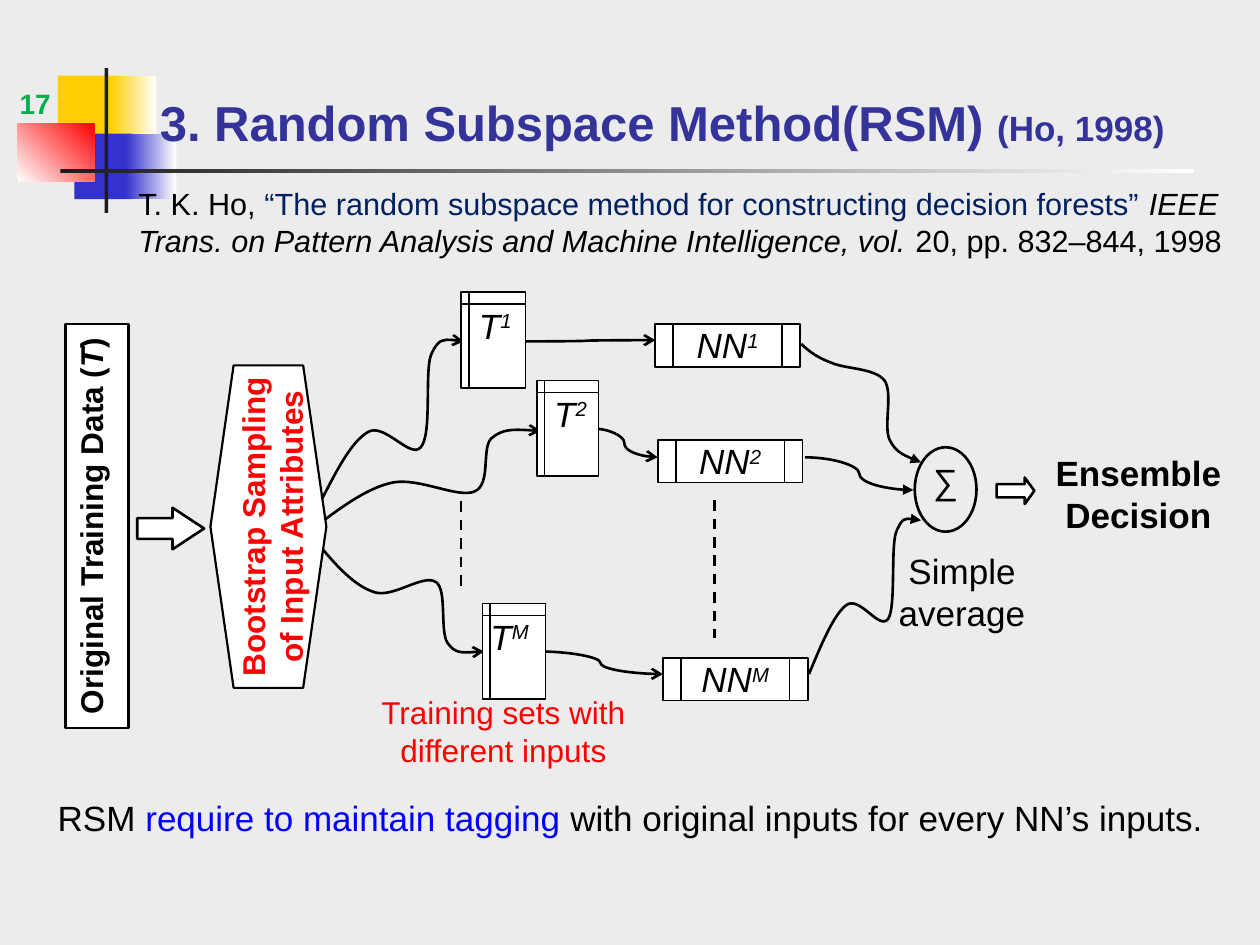
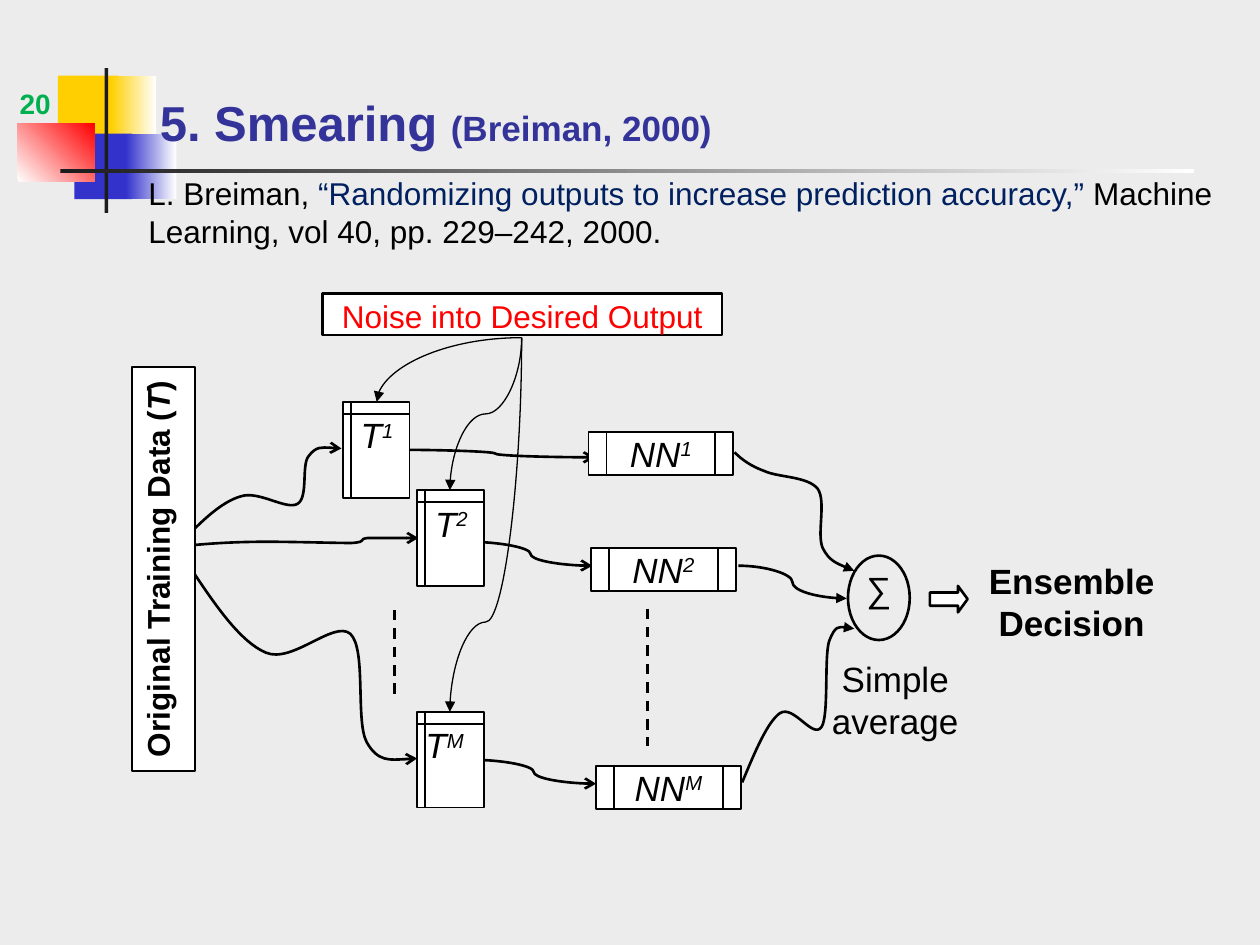
import dataclasses

import lxml.etree
import pptx
import pptx.dml.color
import pptx.enum.dml
import pptx.enum.shapes
import pptx.enum.text
import pptx.oxml.ns
import pptx.util

Inches = pptx.util.Inches
Pt = pptx.util.Pt
RGB = pptx.dml.color.RGBColor.from_string
qn = pptx.oxml.ns.qn
SHAPE = pptx.enum.shapes.MSO_SHAPE
CURVE = pptx.enum.shapes.MSO_CONNECTOR.CURVE
STRAIGHT = pptx.enum.shapes.MSO_CONNECTOR.STRAIGHT
ALIGN = pptx.enum.text.PP_ALIGN
ANCHOR = pptx.enum.text.MSO_ANCHOR


@dataclasses.dataclass(frozen=True)
class Theme:
    font: str = "Arial"
    background: str = "ECECEC"
    white: str = "FFFFFF"
    black: str = "000000"
    bar: str = "1C1C1C"
    yellow: str = "FFCF01"
    blue: str = "3333CC"
    red: str = "FF0000"
    title: str = "333399"
    number: str = "00B050"
    quote: str = "002060"
    emphasis: str = "0000FF"
    title_size: float = 28
    large: float = 20
    medium: float = 18
    citation: float = 17.5
    number_size: float = 16


class Deck:
    def __init__(self, theme):
        self.theme = theme
        self.prs = pptx.Presentation()
        self.prs.slide_width, self.prs.slide_height = Inches(10), Inches(7.5)
        fill = self.prs.slide_master.background.fill
        fill.solid()
        fill.fore_color.rgb = RGB(theme.background)
        self.s = None

    def new_slide(self, number, title, citation):
        t = self.theme
        self.s = self.prs.slides.add_slide(self.prs.slide_layouts[6])
        for at, colors, angle in (
            ((0.46, 0.6, 0.48, 0.52), [t.yellow], 0),
            ((0.88, 0.6, 0.36, 0.52), [t.yellow, t.white], 0),
            ((0.59, 1.06, 0.46, 0.52), [t.blue], 0),
            ((1, 1.06, 0.4, 0.52), [t.blue, t.white], 0),
            ((0.14, 0.98, 0.61, 0.46), [t.white, t.red], 45),
            ((0.83, 0.54, 0.03, 1.15), [t.bar], 0),
            ((0.48, 1.34, 9, 0.03), [t.bar, t.white], 0),
        ):
            self.shape(SHAPE.RECTANGLE, at, colors, angle=angle)
        name, source = title
        self.text((1.17, 0.58, 8.52, 0.67), [(name, {}), (source, {"size": t.large})],
                  t.title_size, t.title, bold=True, align=ALIGN.LEFT, anchor=ANCHOR.BOTTOM, inset=None)
        self.text((0, 0.67, 0.5, 0.33), number, t.number_size, t.number, bold=True,
                  align=ALIGN.RIGHT, anchor=ANCHOR.BOTTOM, inset=None)
        at, size, runs = citation
        self.text(at, runs, size, align=ALIGN.LEFT, inset=None)

    def shape(self, kind, at, colors=(), angle=0, line=None, adjust=()):
        sp = self.s.shapes.add_shape(kind, *map(Inches, at))
        sp.shadow.inherit = False
        if len(colors) == 2:
            sp.fill.gradient()
            sp.fill.gradient_angle = angle
            for stop, color in zip(sp.fill.gradient_stops, colors):
                stop.color.rgb = RGB(color)
        elif colors:
            sp.fill.solid()
            sp.fill.fore_color.rgb = RGB(colors[0])
        else:
            sp.fill.background()
        if line:
            self.stroke(sp, line)
        else:
            sp.line.fill.background()
        for i, value in enumerate(adjust):
            sp.adjustments[i] = value
        return sp

    def label(self, sp, runs, size, color=None, bold=False, italic=False, align=ALIGN.CENTER,
              anchor=ANCHOR.TOP, inset=0, vertical=False, wrap=True):
        tf = sp.text_frame
        tf.word_wrap = wrap
        tf.vertical_anchor = anchor
        if inset is not None:
            tf.margin_left = tf.margin_top = tf.margin_right = tf.margin_bottom = Inches(inset)
        if vertical:
            tf._txBody.bodyPr.set("vert", "vert270")
        p = tf.paragraphs[0]
        p.alignment = align
        p.font.name, p.font.size = self.theme.font, Pt(size)
        p.font.bold, p.font.italic = bold, italic
        p.font.color.rgb = RGB(color or self.theme.black)
        for text, style in [(runs, {})] if isinstance(runs, str) else runs:
            r = p.add_run()
            r.text = text
            if "size" in style:
                r.font.size = Pt(style["size"])
            if "color" in style:
                r.font.color.rgb = RGB(style["color"])
            if "italic" in style:
                r.font.italic = style["italic"]
            if "baseline" in style:
                r._r.get_or_add_rPr().set("baseline", str(style["baseline"] * 1000))
        return p

    def text(self, at, runs, size, color=None, **options):
        return self.label(self.s.shapes.add_textbox(*map(Inches, at)), runs, size, color, **options)

    def stroke(self, sp, width, head=None, dashed=False):
        sp.line.width = Pt(width)
        sp.line.color.rgb = RGB(self.theme.black)
        if dashed:
            sp.line.dash_style = pptx.enum.dml.MSO_LINE.DASH
        if head:
            ln = sp._element.spPr.find(qn("a:ln"))
            lxml.etree.SubElement(ln, qn("a:tailEnd")).set("type", head)

    def connector(self, kind, ends, width=1.5, head=None, dashed=False, prst=None):
        cx = self.s.shapes.add_connector(kind, *map(Inches, ends))
        self.stroke(cx, width, head, dashed)
        spPr = cx._element.spPr
        lxml.etree.SubElement(spPr, qn("a:effectLst"))
        if prst:
            spPr.find(qn("a:prstGeom")).set("prst", prst)
        return cx

    def drop(self, ends, bend):
        x1, y1, x2, y2 = ends
        mid_x, mid_y = (x1 + x2) / 2, (y1 + y2) / 2
        half_w, half_h = (y2 - y1) / 2, (x1 - x2) / 2
        box = (mid_x - half_w, mid_y - half_h, mid_x + half_w, mid_y + half_h)
        spPr = self.connector(CURVE, box, 0.75, "triangle")._element.spPr
        spPr.find(qn("a:xfrm")).set("rot", str(90 * 60000))
        geom = spPr.find(qn("a:prstGeom"))
        guides = geom.find(qn("a:avLst"))
        if guides is None:
            guides = lxml.etree.SubElement(geom, qn("a:avLst"))
        gd = lxml.etree.SubElement(guides, qn("a:gd"))
        gd.set("name", "adj1")
        gd.set("fmla", f"val {round(bend * 100000)}")

    def curve(self, points, head="arrow"):
        start, *rest = [(Inches(x), Inches(y)) for x, y in points]
        builder = self.s.shapes.build_freeform(*start)
        builder.add_line_segments(rest, close=False)
        sp = builder.convert_to_shape()
        sp.shadow.inherit = False
        sp.fill.background()
        self.stroke(sp, 1.5, head)
        outline = next(sp._element.iter(qn("a:path")))
        segments = outline.findall(qn("a:lnTo"))
        for i in range(0, len(segments), 3):
            bezier = lxml.etree.SubElement(outline, qn("a:cubicBezTo"))
            for segment in segments[i:i + 3]:
                bezier.append(segment[0])
                outline.remove(segment)

    def source_data(self, x, y):
        sp = self.shape(SHAPE.RECTANGLE, (x, y, 0.5, 3.21), [self.theme.white], line=1.25)
        runs = [("Original Training Data (", {}), ("T", {"italic": True}), (")", {})]
        self.label(sp, runs, self.theme.medium, bold=True, inset=None, vertical=True, wrap=False)

    def training_sets(self, places):
        for index, (x, y, w) in zip("12M", places):
            sp = self.shape(SHAPE.FLOWCHART_INTERNAL_STORAGE, (x, y, w, 0.76), [self.theme.white], line=1)
            name = "T" if index == "M" else " T"
            self.label(sp, [(name, {}), (index, {"baseline": 30})], self.theme.large,
                       italic=True, align=ALIGN.LEFT)

    def ensemble(self, dx=0, dy=0):
        t = self.theme

        def shift(points):
            return [(x + dx, y + dy) for x, y in points]

        def move(x, y, w, h):
            return x + dx, y + dy, w, h

        for x, top, bottom in ((3.66, 3.98, 4.65), (5.67, 3.97, 5.06)):
            self.connector(STRAIGHT, (x + dx, top + dy, x + dx, bottom + dy), dashed=True)
        for index, x, y in (("1", 5.2, 2.57), ("2", 5.22, 3.49), ("M", 5.26, 5.22)):
            sp = self.shape(SHAPE.FLOWCHART_PREDEFINED_PROCESS, move(x, y, 1.15, 0.34), [t.white], line=1)
            self.label(sp, [("NN", {}), (index, {"baseline": 30})], t.large, italic=True)
        sp = self.shape(SHAPE.OVAL, move(7.26, 3.55, 0.49, 0.67), line=1.5)
        self.label(sp, "∑", t.large)
        self.connector(CURVE, (6.39 + dx, 3.63 + dy, 7.25 + dx, 3.89 + dy), head="triangle")
        self.curve(shift(FIRST_VOTE), "triangle")
        self.curve(shift(LAST_VOTE), "triangle")
        self.shape(SHAPE.RIGHT_ARROW, move(7.91, 3.79, 0.3, 0.21), [t.white], line=1.5, adjust=(0.5, 0.365))
        self.text(move(8.32, 3.58, 1.43, 0.67), "Ensemble Decision", t.large, bold=True)
        self.text(move(7.06, 4.36, 1.15, 0.51), "Simple average", t.large)


FIRST_VOTE = [(6.36, 2.73), (6.42, 2.79), (6.49, 2.84), (6.6, 2.88), (6.71, 2.93), (6.94, 2.92),
              (7.02, 3.02), (7.09, 3.12), (7.01, 3.38), (7.06, 3.49), (7.11, 3.59), (7.21, 3.63), (7.31, 3.67)]
LAST_VOTE = [(6.42, 5.35), (6.52, 5.11), (6.62, 4.87), (6.72, 4.8), (6.83, 4.73), (6.98, 5.01),
             (7.05, 4.91), (7.11, 4.82), (7.07, 4.36), (7.11, 4.23), (7.16, 4.1), (7.23, 4.11), (7.31, 4.13)]
SUBSPACE_CURVES = [
    [(2.53, 4.01), (2.66, 3.76), (2.78, 3.51), (2.92, 3.43), (3.05, 3.35), (3.26, 3.65), (3.34, 3.55),
     (3.43, 3.45), (3.37, 2.96), (3.42, 2.82), (3.48, 2.68), (3.58, 2.69), (3.68, 2.71)],
    [(2.53, 4.16), (2.72, 4.02), (2.92, 3.87), (3.12, 3.83), (3.33, 3.79), (3.64, 3.96), (3.77, 3.9),
     (3.9, 3.84), (3.82, 3.56), (3.9, 3.48), (3.99, 3.4), (4.14, 3.41), (4.29, 3.42)],
    [(2.52, 4.31), (2.66, 4.48), (2.81, 4.65), (2.97, 4.7), (3.12, 4.75), (3.36, 4.55), (3.46, 4.62),
     (3.55, 4.68), (3.49, 5), (3.55, 5.1), (3.61, 5.19), (3.73, 5.18), (3.84, 5.17)],
]
SMEARING_CURVES = [
    [(1.5, 4.24), (1.63, 4.11), (1.77, 3.98), (1.91, 3.94), (2.05, 3.89), (2.27, 4.05), (2.36, 4),
     (2.45, 3.95), (2.39, 3.69), (2.45, 3.62), (2.51, 3.54), (2.61, 3.55), (2.71, 3.56)],
    [(1.5, 4.33), (1.7, 4.31), (1.9, 4.3), (2.12, 4.3), (2.33, 4.3), (2.66, 4.31), (2.79, 4.31),
     (2.93, 4.3), (2.83, 4.28), (2.92, 4.27), (3.01, 4.27), (3.17, 4.27), (3.32, 4.27)],
    [(1.5, 4.49), (1.7, 4.79), (1.9, 5.09), (2.11, 5.18), (2.32, 5.27), (2.65, 4.92), (2.78, 5.03),
     (2.91, 5.15), (2.82, 5.72), (2.91, 5.89), (3, 6.05), (3.15, 6.03), (3.31, 6.02)],
]


def random_subspace(deck):
    t = deck.theme
    deck.new_slide("17", ("3. Random Subspace Method(RSM) ", "(Ho, 1998)"), (
        (1, 1.42, 8.83, 0.69), t.citation,
        [("T. K. Ho, ", {}),
         ("“The random subspace method for constructing decision forests” ", {"color": t.quote}),
         ("IEEE Trans. on Pattern Analysis and Machine Intelligence, vol. ", {"italic": True}),
         ("20, pp. 832–844, 1998", {})]))
    for points in SUBSPACE_CURVES:
        deck.curve(points)
    for ends in ((4.09, 2.71, 5.2, 2.7), (4.69, 3.4, 5.22, 3.63), (4.27, 5.17, 5.26, 5.35)):
        deck.connector(CURVE, ends, head="arrow")
    deck.shape(SHAPE.RIGHT_ARROW, (1.09, 4.03, 0.53, 0.33), [t.white], line=1.5, adjust=(0.5, 0.758))
    sp = deck.shape(SHAPE.FLOWCHART_PREPARATION, (1.67, 2.9, 0.92, 2.56), [t.white], line=1.25)
    deck.label(sp, "Bootstrap Sampling of Input Attributes", t.medium, t.red, bold=True, vertical=True)
    deck.training_sets([(3.66, 2.32, 0.51), (4.26, 3.02, 0.49), (3.83, 4.79, 0.5)])
    deck.ensemble()
    deck.text((2.93, 5.5, 2.13, 0.44), "Training sets with different inputs", t.medium, t.red)
    deck.source_data(0.52, 2.57)
    p = deck.text((0.36, 6.27, 9.5, 0.5), [
        ("RSM ", {}), ("require to maintain tagging", {"color": t.emphasis}),
        (" with original inputs for every NN’s inputs.", {})], t.large, align=ALIGN.JUSTIFY, inset=None)
    pPr = p._p.get_or_add_pPr()
    pPr.set("marL", str(Inches(0.19)))
    pPr.set("indent", str(-Inches(0.19)))


def smearing(deck):
    t = deck.theme
    deck.new_slide("20", ("5. Smearing ", "(Breiman, 2000)"), (
        (1.08, 1.33, 8.83, 0.71), t.medium,
        [("L. Breiman, ", {}),
         ("“Randomizing outputs to increase prediction accuracy,”", {"color": t.quote}),
         (" Machine Learning, vol 40, pp. 229–242, 2000.", {})]))
    for points in SMEARING_CURVES:
        deck.curve(points)
    for ends in ((3.14, 3.57, 4.72, 3.63), (3.72, 4.3, 4.7, 4.49), (3.74, 6.03, 4.73, 6.22)):
        deck.connector(CURVE, ends, head="arrow")
    deck.training_sets([(2.72, 3.19, 0.53), (3.31, 3.89, 0.53), (3.31, 5.65, 0.53)])
    deck.ensemble(-0.53, 0.86)
    sp = deck.shape(SHAPE.RECTANGLE, (2.56, 2.33, 3.17, 0.33), [t.white], line=1.25)
    deck.label(sp, "Noise into Desired Output", t.medium, t.red)
    sp.text_frame.margin_top = Inches(0.03)
    deck.connector(CURVE, (4.14, 2.68, 2.99, 3.19), 0.75, "triangle", prst="curvedConnector2")
    deck.drop((4.14, 2.68, 3.57, 3.89), 0.5)
    deck.drop((4.14, 2.68, 3.57, 5.65), 0.76)
    deck.source_data(1.05, 2.91)


def main():
    deck = Deck(Theme())
    random_subspace(deck)
    smearing(deck)
    deck.prs.save("out.pptx")


if __name__ == "__main__":
    main()
